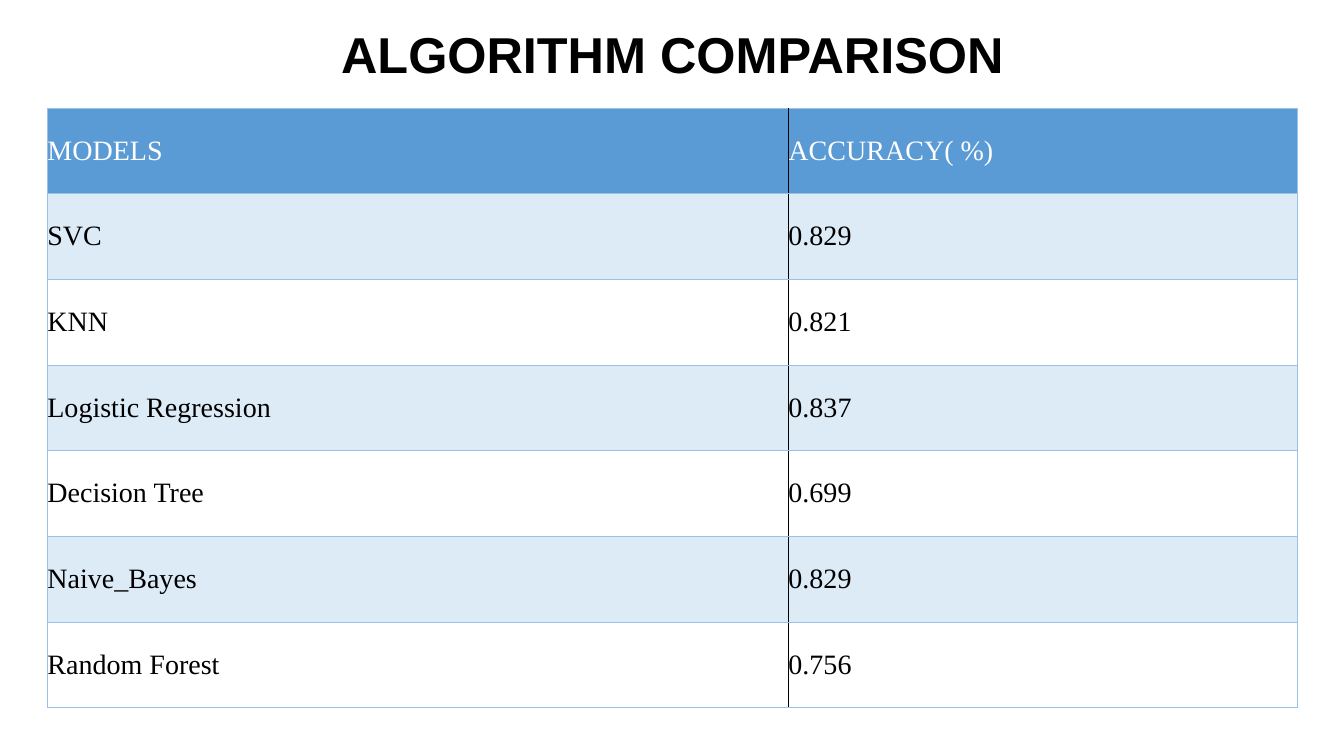
import dataclasses

import lxml.etree
import pptx
import pptx.dml.color
import pptx.enum.text
import pptx.oxml.ns
import pptx.table
import pptx.text.text
import pptx.util

Inches = pptx.util.Inches
Pt = pptx.util.Pt

COLORS = {
    "header": "5B9BD5",
    "band": "DDEBF7",
    "grid": "9BC2E6",
    "black": "000000",
    "white": "FFFFFF",
}


@dataclasses.dataclass(frozen=True)
class Score:
    model: str
    accuracy: str


@dataclasses.dataclass(frozen=True)
class Border:
    color: str
    width: float


GRID = Border("grid", 0.5)
DIVIDER = Border("black", 0.75)

HEADINGS = Score("MODELS", "ACCURACY( %)")
SCORES = [
    Score("SVC", "0.829"),
    Score("KNN", "0.821"),
    Score("Logistic Regression", "0.837"),
    Score("Decision Tree", "0.699"),
    Score("Naive_Bayes", "0.829"),
    Score("Random Forest", "0.756"),
]
COLUMN_WIDTHS = [Inches(7.35), Inches(5.05)]
ROW_HEIGHT = Inches(0.85)


def rgb(color: str) -> pptx.dml.color.RGBColor:
    return pptx.dml.color.RGBColor.from_string(COLORS[color])


def set_font(paragraph: pptx.text.text._Paragraph, name: str, size: float,
             color: str, bold: bool = False) -> None:
    font = paragraph.font
    font.name = name
    font.size = Pt(size)
    font.bold = bold
    font.color.rgb = rgb(color)


def add_border(cell: pptx.table._Cell, side: str, border: Border) -> None:
    qn = pptx.oxml.ns.qn
    line = lxml.etree.SubElement(
        cell._tc.get_or_add_tcPr(), qn(f"a:ln{side}"), w=str(Pt(border.width)))
    fill = lxml.etree.SubElement(line, qn("a:solidFill"))
    lxml.etree.SubElement(fill, qn("a:srgbClr"), val=COLORS[border.color])


def fill_cell(cell: pptx.table._Cell, text: str, row: int, column: int) -> None:
    cell.text = text
    cell.margin_left = cell.margin_right = cell.margin_top = cell.margin_bottom = 0
    cell.vertical_anchor = pptx.enum.text.MSO_ANCHOR.MIDDLE
    set_font(cell.text_frame.paragraphs[0], "Times New Roman", 20,
             "white" if row == 0 else "black")
    inner_side = "R" if column == 0 else "L"
    for side in "LRTB":
        add_border(cell, side, DIVIDER if side == inner_side else GRID)
    if row > 0 and row % 2 == 0:
        cell.fill.background()
    else:
        cell.fill.solid()
        cell.fill.fore_color.rgb = rgb("header" if row == 0 else "band")


presentation = pptx.Presentation()
presentation.slide_width = Inches(13.33)
presentation.slide_height = Inches(7.5)
slide = presentation.slides.add_slide(presentation.slide_layouts[6])

title = slide.shapes.add_textbox(
    Inches(0.67), Inches(0.21), Inches(12), Inches(0.64)).text_frame
title.word_wrap = True
title.vertical_anchor = pptx.enum.text.MSO_ANCHOR.MIDDLE
title.text = "ALGORITHM COMPARISON"
title.paragraphs[0].alignment = pptx.enum.text.PP_ALIGN.CENTER
set_font(title.paragraphs[0], "Arial", 36, "black", bold=True)

rows = [HEADINGS, *SCORES]
comparison = slide.shapes.add_table(
    len(rows), len(COLUMN_WIDTHS), Inches(0.47), Inches(1.07),
    sum(COLUMN_WIDTHS), ROW_HEIGHT * len(rows)).table
comparison.first_row = False
comparison.horz_banding = False
for column, width in enumerate(COLUMN_WIDTHS):
    comparison.columns[column].width = width
for row, score in enumerate(rows):
    comparison.rows[row].height = ROW_HEIGHT
    for column, text in enumerate((score.model, score.accuracy)):
        fill_cell(comparison.cell(row, column), text, row, column)

presentation.save("out.pptx")
